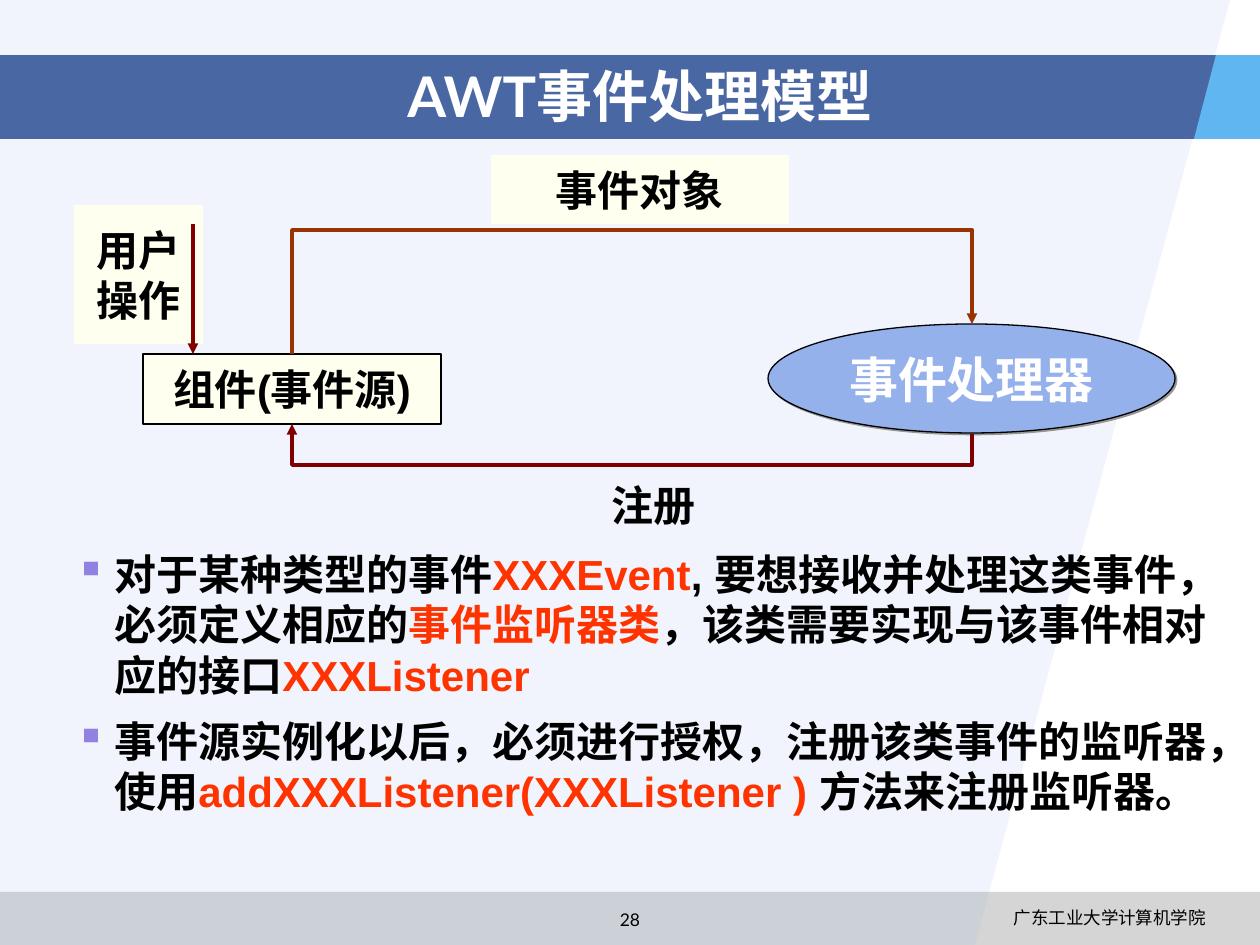
import pptx
import pptx.dml.color
import pptx.enum.shapes
import pptx.enum.text
import pptx.oxml
import pptx.oxml.ns
import pptx.util
from lxml import etree

SCALE = 914400 / 126  # EMU per px
SHAPES = pptx.enum.shapes.MSO_SHAPE
ALIGN = pptx.enum.text.PP_ALIGN
ANCHOR = pptx.enum.text.MSO_ANCHOR


class Theme:
    page, black, white = "FFFFFF", "000000", "FFFFFF"
    grey, tint, banner, accent = "969696", "94B1EC", "173D89", "5FB6F1"
    cream, maroon, brown = "FFFFEF", "800000", "993300"
    bullet, highlight = "9181E1", "FF3300"
    title, handler, body, footer = 32, 28, 24, 10
    hairline, stroke = 0.75, 2


def px(length):
    return pptx.util.Emu(round(length * SCALE))


def color(value):
    return pptx.dml.color.RGBColor.from_string(value)


def add_xml(parent, tag, **attributes):
    element = etree.SubElement(parent, pptx.oxml.ns.qn(tag))
    for name, value in attributes.items():
        element.set(name, str(value))
    return element


def set_all(target, **values):
    for name, value in values.items():
        setattr(target, name, value)


def paint(shape, fill, opacity=100, line=None):
    shape.shadow.inherit = False
    shape.fill.solid()
    shape.fill.fore_color.rgb = color(fill)
    if opacity < 100:
        srgb = shape.fill._xPr.find(".//" + pptx.oxml.ns.qn("a:srgbClr"))
        add_xml(srgb, "a:alpha", val=opacity * 1000)
    if line:
        shape.line.color.rgb = color(line)
        shape.line.width = pptx.util.Pt(Theme.hairline)
    else:
        shape.line.fill.background()


def add_block(page, kind, box, fill, **style):
    shape = page.shapes.add_shape(kind, *map(px, box))
    paint(shape, fill, **style)
    return shape


def add_outline(page, points, fill, **style):
    builder = page.shapes.build_freeform(*points[0], scale=SCALE)
    builder.add_line_segments(points[1:], close=True)
    paint(builder.convert_to_shape(), fill, **style)


def add_span(para, text, size, font="Arial", ink=Theme.black, bold=True):
    span = para.add_run()
    span.text = text
    set_all(span.font, name=font, size=pptx.util.Pt(size), bold=bold)
    span.font.color.rgb = color(ink)


def write(shape, text, size, align=ALIGN.CENTER, anchor=ANCHOR.MIDDLE, wrap=True, **style):
    set_all(shape.text_frame, word_wrap=wrap, vertical_anchor=anchor)
    para = shape.text_frame.paragraphs[0]
    para.alignment = align
    add_span(para, text, size, **style)


def add_text(page, box, text, size, **style):
    write(page.shapes.add_textbox(*map(px, box)), text, size, **style)


def add_arrow(page, kind, start, end, ink, arrow_at="tail"):
    arrow = page.shapes.add_connector(kind, *map(px, start + end))
    arrow.line.color.rgb = color(ink)
    arrow.line.width = pptx.util.Pt(Theme.stroke)
    add_xml(arrow.line._get_or_add_ln(), f"a:{arrow_at}End", type="triangle")
    add_xml(arrow._element.spPr, "a:effectLst")
    return arrow


def add_elbow(page, start, end, rail, ink, **style):
    """Vertical, horizontal, vertical arrow whose level part runs at y = rail."""
    elbow = add_arrow(page, pptx.enum.shapes.MSO_CONNECTOR.ELBOW, start, end, ink, **style)
    (x1, y1), (x2, y2) = start, end
    width, height = abs(y2 - y1), abs(x2 - x1)
    set_all(elbow, left=px((x1 + x2 - width) / 2), top=px((y1 + y2 - height) / 2),
            width=px(width), height=px(height))
    frame = elbow._element.spPr.find(pptx.oxml.ns.qn("a:xfrm"))
    frame.set("rot", str(270 * 60000))
    frame.set("flipH", "1" if y2 > y1 else "0")
    frame.set("flipV", "0")
    geometry = elbow._element.spPr.find(pptx.oxml.ns.qn("a:prstGeom"))
    guides = geometry.find(pptx.oxml.ns.qn("a:avLst"))
    if guides is None:
        guides = add_xml(geometry, "a:avLst")
    add_xml(guides, "a:gd", name="adj1", fmla=f"val {round((rail - y1) / (y2 - y1) * 100000)}")


def add_background(page, width, height):
    add_block(page, SHAPES.RECTANGLE, (0, height - 53, width, 53), Theme.grey, opacity=40)
    add_outline(page, [(0, 0), (1230, 0), (975, height), (0, height)], Theme.tint, opacity=13)


def add_title(page, left, top, width, height):
    add_block(page, SHAPES.RECTANGLE, (left, top, width, height), Theme.banner, opacity=77)
    right, bottom = left + width, top + height
    add_outline(page, [(right - 44, top), (right - 66, bottom), (right, bottom), (right, top)],
                Theme.accent)
    add_text(page, (left + 73, top + 1, 1134, 78), "AWT事件处理模型", Theme.title,
             font="Lato", ink=Theme.white)


def add_footer(page, left, top):
    add_text(page, (left + 819, top + 9, 399, 44), "广东工业大学计算机学院", Theme.footer,
             font="DejaVu Sans", bold=False, align=ALIGN.RIGHT, anchor=ANCHOR.TOP)
    add_text(page, (left + 546, top + 11, 168, 32), "28", Theme.footer,
             font="Lato", bold=False, anchor=ANCHOR.TOP)


def add_diagram(page, left, top):
    def at(x, y, *size):
        return (left + x, top + y, *size)

    source_x, handler_x = 218, 898

    # Event source and handler
    source = add_block(page, SHAPES.RECTANGLE, at(69, 199, 298, 70), Theme.cream, line=Theme.black)
    write(source, "组件(事件源)", Theme.body, wrap=False)
    handler = add_block(page, SHAPES.OVAL, at(694, 169, 407, 109), Theme.tint, line=Theme.black)
    write(handler, "事件处理器", Theme.handler, wrap=False, font="Times New Roman", ink=Theme.white)
    effects = handler._element.spPr.find(pptx.oxml.ns.qn("a:effectLst"))
    shadow = add_xml(effects, "a:outerShdw", dist=pptx.util.Pt(1.4), dir=45 * 60000)
    add_xml(shadow, "a:srgbClr", val=Theme.grey)

    # Registration
    add_elbow(page, at(source_x, 269), at(handler_x, 279), top + 310, Theme.maroon, arrow_at="head")
    add_text(page, at(436, 318, 287, 63), "注册", Theme.body, anchor=ANCHOR.TOP)

    # User action
    action = add_block(page, SHAPES.RECTANGLE, at(0, 50, 129, 139), Theme.cream)
    write(action, "用户操作", Theme.body, font="Courier New")
    add_arrow(page, pptx.enum.shapes.MSO_CONNECTOR.STRAIGHT, at(119, 69), at(119, 199), Theme.maroon)

    # Event object
    label = add_block(page, SHAPES.RECTANGLE, at(417, 0, 298, 69), Theme.cream)
    write(label, "事件对象", Theme.body, wrap=False)
    add_elbow(page, at(source_x, 199), at(handler_x, 169), top + 75, Theme.brown)


def add_bullets(page, box, items):
    frame = page.shapes.add_textbox(*map(px, box)).text_frame
    frame.word_wrap = True
    for index, item in enumerate(items):
        para = frame.add_paragraph() if index else frame.paragraphs[0]
        set_all(para, level=1, space_before=pptx.util.Pt(9))
        properties = para._p.get_or_add_pPr()
        properties.set("marL", str(px(102)))
        properties.set("indent", str(px(-39)))
        add_xml(add_xml(properties, "a:buClr"), "a:srgbClr", val=Theme.bullet)
        add_xml(properties, "a:buChar", char="▪")
        # Every second span is highlighted
        for order, text in enumerate(item):
            add_span(para, text, Theme.body, ink=Theme.highlight if order % 2 else Theme.black)


def main():
    deck = pptx.Presentation()
    set_all(deck, slide_width=px(1260), slide_height=px(945))
    page = deck.slides.add_slide(deck.slide_layouts[6])
    page.background.fill.solid()
    page.background.fill.fore_color.rgb = color(Theme.page)

    add_background(page, 1260, 945)
    add_title(page, 0, 55, 1260, 84)
    add_footer(page, 0, 892)
    add_diagram(page, 74, 155)
    add_bullets(page, (0, 542, 1260, 348), [
        ["对于某种类型的事件", "XXXEvent", ", 要想接收并处理这类事件，必须定义相应的",
         "事件监听器类", "，该类需要实现与该事件相对应的接口", "XXXListener"],
        ["事件源实例化以后，必须进行授权，注册该类事件的监听器，使用",
         "addXXXListener(XXXListener ) ", "方法来注册监听器。"],
    ])
    deck.save("out.pptx")


if __name__ == "__main__":
    main()
